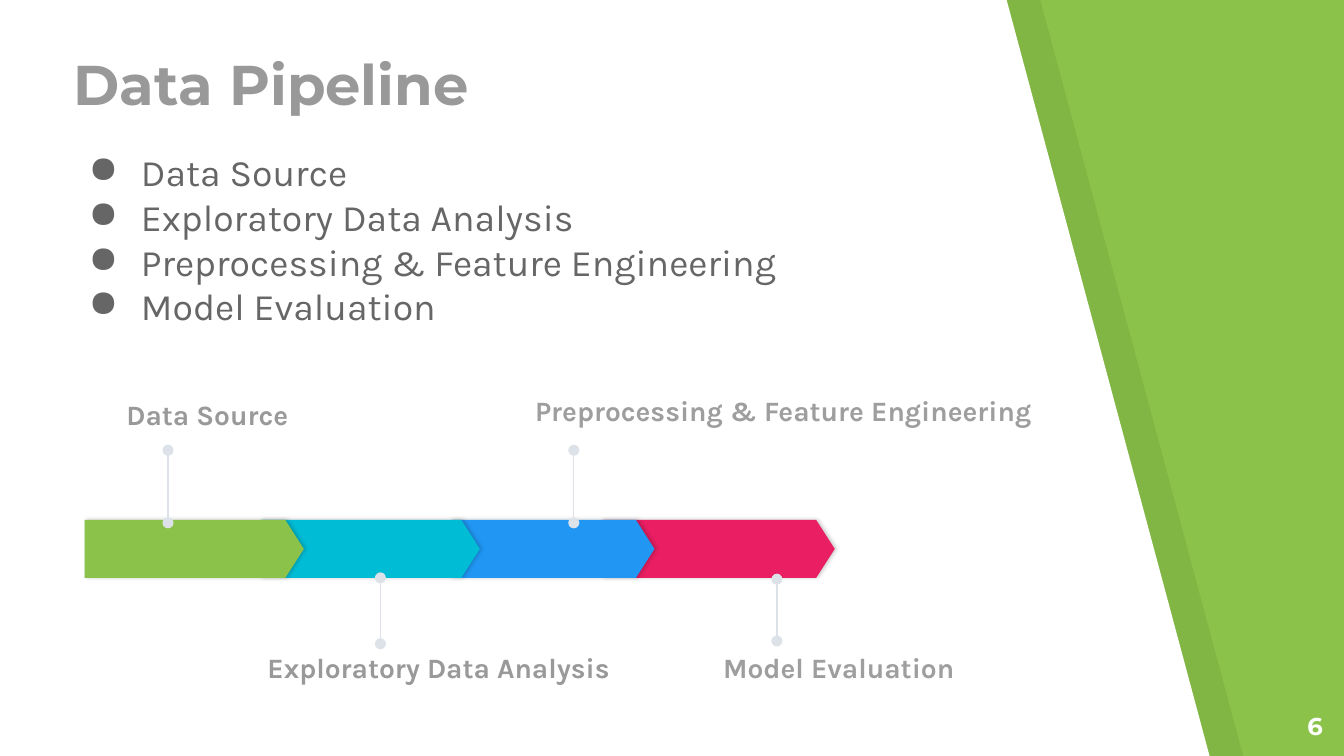
from lxml import etree
from pptx import Presentation
from pptx.dml.color import RGBColor
from pptx.enum.shapes import MSO_CONNECTOR, MSO_SHAPE
from pptx.enum.text import MSO_ANCHOR, PP_ALIGN
from pptx.oxml.ns import qn
from pptx.util import Pt

PENTAGON = MSO_SHAPE.PENTAGON
STRAIGHT = MSO_CONNECTOR.STRAIGHT
TOP, BOTTOM = MSO_ANCHOR.TOP, MSO_ANCHOR.BOTTOM
LEFT, RIGHT = PP_ALIGN.LEFT, PP_ALIGN.RIGHT

BLACK = RGBColor(0x00, 0x00, 0x00)
WHITE = RGBColor(0xFF, 0xFF, 0xFF)
GREEN = RGBColor(0x8B, 0xC3, 0x4A)
CYAN = RGBColor(0x00, 0xBC, 0xD4)
BLUE = RGBColor(0x21, 0x96, 0xF3)
PINK = RGBColor(0xE9, 0x1E, 0x63)
PALE = RGBColor(0xDC, 0xE2, 0xE7)
GREY = RGBColor(0x99, 0x99, 0x99)
LIGHT_GREY = RGBColor(0x9E, 0x9E, 0x9E)
DARK_GREY = RGBColor(0x66, 0x66, 0x66)

HEADING_FONT, BODY_FONT = "Montserrat", "Karla"
STEPS = ["Data Source", "Exploratory Data Analysis",
         "Preprocessing & Feature Engineering", "Model Evaluation"]


def add_element(parent, tag, **attributes):
    return etree.SubElement(parent, qn(tag), **attributes)


def add_text(slide, box, lines, font, size, color, bold=False,
             inset=7.2, anchor=TOP, align=LEFT, bullet=None):
    frame = slide.shapes.add_textbox(*map(Pt, box)).text_frame
    frame.word_wrap = True
    frame.vertical_anchor = anchor
    frame.margin_left = frame.margin_right = Pt(inset)
    frame.margin_top = frame.margin_bottom = Pt(inset)
    frame.text = "\n".join(lines)
    for paragraph in frame.paragraphs:
        paragraph.alignment = align
        if bullet:
            properties = paragraph._p.get_or_add_pPr()
            properties.set("marL", str(Pt(36)))
            properties.set("indent", str(-Pt(28)))
            bullet_color = add_element(properties, "a:buClr")
            add_element(bullet_color, "a:srgbClr", val=str(color))
            add_element(properties, "a:buChar", char=bullet)
        for run in paragraph.runs:
            run.font.name = font
            run.font.size = Pt(size)
            run.font.bold = bold
            run.font.color.rgb = color


def add_slanted_panel(slide, box, color, opacity=100):
    left, top, width, height = box
    right, bottom = left + width, top + height
    slant = 108.7
    outline = slide.shapes.build_freeform(Pt(left), Pt(top))
    outline.add_line_segments([(Pt(left), Pt(bottom)), (Pt(right), Pt(bottom)),
                               (Pt(right - slant), Pt(top))])
    panel = outline.convert_to_shape()
    panel.shadow.inherit = False
    panel.fill.solid()
    panel.fill.fore_color.rgb = color
    panel.line.fill.background()
    if opacity < 100:
        shade = panel._element.spPr.find(".//" + qn("a:srgbClr"))
        add_element(shade, "a:alpha", val=str(opacity * 1000))


def add_background(slide, box):
    left, top, width, height = box
    slide.background.fill.solid()
    slide.background.fill.fore_color.rgb = GREEN
    panel_width = width * 0.9
    add_slanted_panel(slide, (left + 18, top, panel_width, height), BLACK, 7)
    add_slanted_panel(slide, (left, top, panel_width, height), WHITE)


def add_stage(slide, box, color):
    stage = slide.shapes.add_shape(PENTAGON, *map(Pt, box))
    stage.adjustments[0] = 0.32
    stage.fill.solid()
    stage.fill.fore_color.rgb = color
    stage.line.fill.background()
    stage.shadow.inherit = False
    effects = stage._element.spPr.find(qn("a:effectLst"))
    shadow = add_element(effects, "a:outerShdw", blurRad=str(Pt(2.2)),
                         dist=str(Pt(0.8)), dir="0", rotWithShape="0")
    shade = add_element(shadow, "a:srgbClr", val=str(BLACK))
    add_element(shade, "a:alpha", val="20000")


def add_pin(slide, x, start, end):
    pin = slide.shapes.add_connector(STRAIGHT, Pt(x), Pt(start), Pt(x), Pt(end))
    pin.line.color.rgb = PALE
    pin.line.width = Pt(0.75)
    line = pin.line._ln
    add_element(line, "a:headEnd", type="oval")
    add_element(line, "a:tailEnd", type="oval")
    add_element(pin._element.spPr, "a:effectLst")


def add_timeline(slide, box):
    left, top, width, height = box
    band_top, band_height = top + 74.2, 31
    stages = [(0, 117.4, GREEN), (94.3, 117.4, CYAN),
              (196.5, 108.7, BLUE), (277.2, 124.6, PINK)]
    for offset, stage_width, color in reversed(stages):
        add_stage(slide, (left + offset, band_top, stage_width, band_height), color)

    above, below = band_top + 1.5, band_top + band_height
    callouts = [
        (44.6, above, top + 36.8, (22.3, 0, 95, 26.6), BOTTOM, GREY),
        (158.4, top + 140.5, below, (97.9, 144, 204.5, 39.6), TOP, GREY),
        (262, above, top + 36.8, (241.2, 1.5, 274.3, 23), BOTTOM, LIGHT_GREY),
        (370.8, top + 139, below + 0.7, (342, 144, 198, 31), TOP, LIGHT_GREY),
    ]
    for step, (x, start, end, label, anchor, color) in zip(STEPS, callouts):
        add_pin(slide, left + x, start, end)
        dx, dy, label_width, label_height = label
        add_text(slide, (left + dx, top + dy, label_width, label_height), [step],
                 BODY_FONT, 15, color, bold=True, inset=0, anchor=anchor)


def main():
    presentation = Presentation()
    presentation.slide_width, presentation.slide_height = Pt(720), Pt(405)
    slide = presentation.slides.add_slide(presentation.slide_layouts[6])
    add_background(slide, (0, 0, 720, 405))
    add_text(slide, (32.4, 18.7, 464.4, 51), ["Data Pipeline"],
             HEADING_FONT, 30, GREY, bold=True, anchor=BOTTOM)
    add_text(slide, (672.5, 373.7, 43.2, 31), ["6"],
             HEADING_FONT, 13, WHITE, bold=True, align=RIGHT)
    add_timeline(slide, (45.4, 204.4, 516, 184))
    add_text(slide, (32.4, 72.7, 445, 111.6), STEPS,
             BODY_FONT, 20, DARK_GREY, bullet="●")
    presentation.save("out.pptx")


if __name__ == "__main__":
    main()
